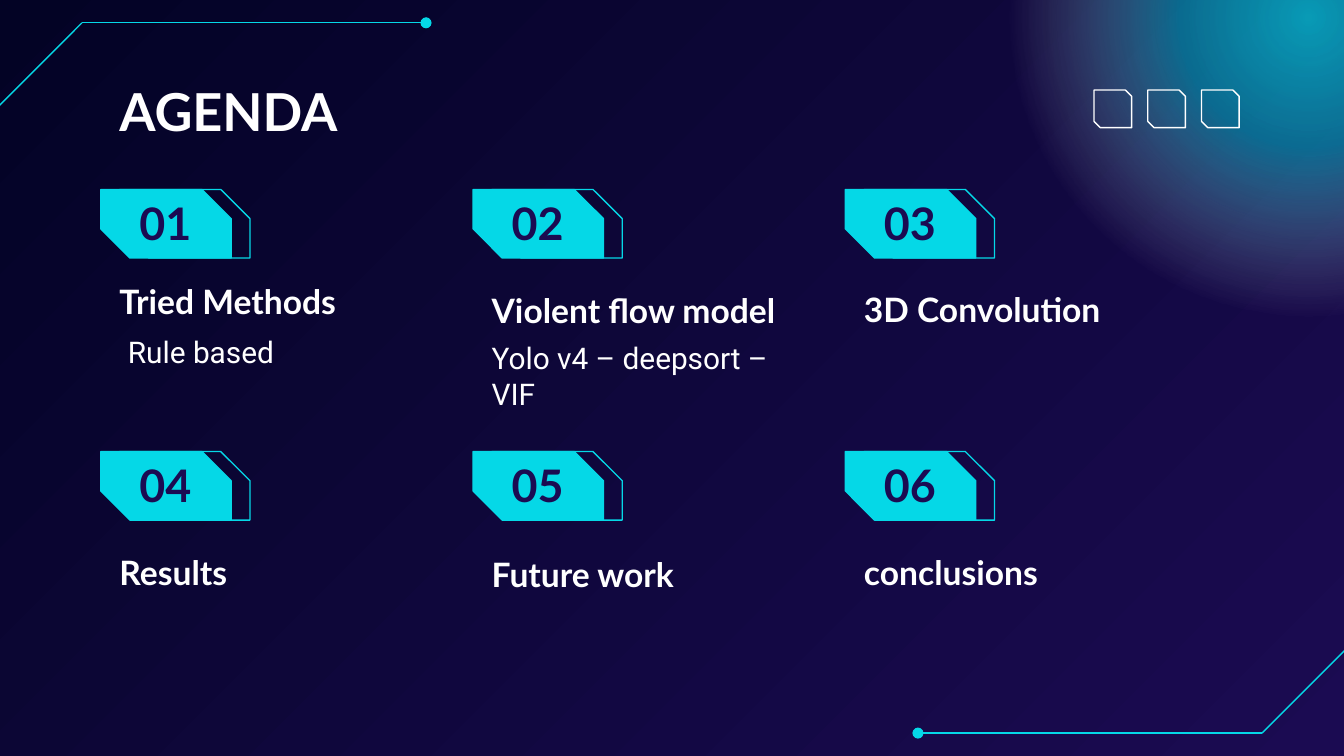
from lxml.etree import SubElement
from pptx import Presentation
from pptx.dml.color import RGBColor
from pptx.enum.shapes import MSO_CONNECTOR, MSO_SHAPE
from pptx.enum.text import MSO_ANCHOR, PP_ALIGN
from pptx.oxml import parse_xml
from pptx.oxml.ns import nsdecls, qn
from pptx.util import Inches, Pt

W = 10
H = W * 9 / 16
CYAN, WHITE, NAVY, INDIGO = "05D8E7", "FFFFFF", "030325", "1B0B52"

# Agenda grid: origin and pitch of its columns and rows
LEFT, TOP, COL, ROW = 0.75, 1.41, 2.77, 1.95
COLUMNS = 3

HEADING = {"name": "Lato", "size": Pt(18), "bold": True}
DETAIL = {"name": "Roboto", "size": Pt(16), "bold": False}
NUMBER = {"name": "Lato", "size": Pt(24), "bold": True}
TITLE = {"name": "Lato", "size": Pt(28), "bold": True}

# Heading and its drop below the top of the grid cell
ITEMS = [
    ("Tried Methods", 0.58), ("Violent flow model", 0.65), ("3D Convolution", 0.64),
    ("Results", 0.65), ("Future work", 0.66), ("conclusions", 0.65),
]


def rgb(color):
    return RGBColor.from_string(color)


def inches(*lengths):
    return [Inches(v) for v in lengths]


def add_text(s, box, text, font, color=WHITE, anchor=MSO_ANCHOR.TOP,
             align=PP_ALIGN.LEFT, after=0):
    tf = s.shapes.add_textbox(*inches(*box)).text_frame
    frame = {"word_wrap": True, "vertical_anchor": anchor}
    frame.update({f"margin_{side}": Inches(0.1)
                  for side in ("left", "right", "top", "bottom")})
    for name, value in frame.items():
        setattr(tf, name, value)
    p = tf.paragraphs[0]
    p.alignment, p.space_after = align, Pt(after)
    r = p.add_run()
    r.text = text
    for name, value in font.items():
        setattr(r.font, name, value)
    r.font.color.rgb = rgb(color)


def add_snip(s, box, snip, line, fill=None):
    sp = s.shapes.add_shape(MSO_SHAPE.SNIP_2_DIAG_RECTANGLE, *inches(*box))
    sp.shadow.inherit = False
    sp.adjustments[0], sp.adjustments[1] = 0, snip
    sp.line.color.rgb, sp.line.width = rgb(line), Pt(0.75)
    if fill:
        sp.fill.solid()
        sp.fill.fore_color.rgb = rgb(fill)
    else:
        sp.fill.background()


def add_line(s, start, end, dot=False):
    c = s.shapes.add_connector(MSO_CONNECTOR.STRAIGHT, *inches(*start, *end))
    c.line.color.rgb, c.line.width = rgb(CYAN), Pt(0.75)
    spPr = c._element.spPr
    if dot:
        SubElement(spPr.find(qn("a:ln")), qn("a:tailEnd"), type="oval")
    SubElement(spPr, qn("a:effectLst"))


def draw_background(s):
    fill = s.background.fill
    fill.gradient()
    fill.gradient_angle = 315
    for stop, color in zip(fill.gradient_stops, (NAVY, INDIGO)):
        stop.color.rgb = rgb(color)


def draw_glow(s, box):
    sp = s.shapes.add_shape(MSO_SHAPE.OVAL, *inches(*box))
    sp.shadow.inherit = False
    sp.line.fill.background()
    sp.fill.background()
    stops = "".join(
        f'<a:gs pos="{pos * 1000}"><a:srgbClr val="{color}">'
        f'<a:alpha val="{alpha * 1000}"/></a:srgbClr></a:gs>'
        for pos, color, alpha in ((0, CYAN, 70), (30, CYAN, 47),
                                  (69, WHITE, 0), (100, WHITE, 0)))
    spPr = sp._element.spPr
    spPr.replace(spPr.find(qn("a:noFill")), parse_xml(
        f'<a:gradFill {nsdecls("a")} rotWithShape="1"><a:gsLst>{stops}</a:gsLst>'
        '<a:path path="circle"><a:fillToRect l="50000" t="50000" r="50000" b="50000"/>'
        '</a:path></a:gradFill>'))


def draw_corner(s, x, y, side):
    """Trace from a slide edge at (x, y); side 1 runs right, -1 runs left."""
    bend = (x + side * 0.63, y - side * 0.63)
    add_line(s, (x, y), bend)
    add_line(s, bend, (bend[0] + side * 2.56, bend[1]), dot=True)


def draw_badge(s, x, y, number):
    w, h, shift = 0.97, 0.51, 0.14
    add_snip(s, (x + shift, y, w, h), 0.426, CYAN)
    add_snip(s, (x, y, w, h), 0.426, CYAN, CYAN)
    add_text(s, (x + shift, y - 0.06, 0.68, 0.61), f"{number:02}", NUMBER, INDIGO,
             MSO_ANCHOR.MIDDLE, PP_ALIGN.CENTER)


def draw_agenda(s, x, y):
    for i, (heading, drop) in enumerate(ITEMS):
        row, col = divmod(i, COLUMNS)
        left, top = x + col * COL, y + row * ROW
        draw_badge(s, left, top, i + 1)
        add_text(s, (left + 0.04, top + drop, 2.61, 0.5), heading, HEADING,
                 anchor=MSO_ANCHOR.BOTTOM, after=12)
    # Details under the first two headings
    add_text(s, (x - 0.56, y + 0.97, 2.61, 0.47), "Rule based", DETAIL,
             align=PP_ALIGN.CENTER, after=12)
    add_text(s, (x + COL + 0.04, y + 1.02, 2.61, 0.47), "Yolo v4 – deepsort – VIF",
             DETAIL, after=12)


def draw_header(s, x, y):
    add_text(s, (x, y, 7.85, 0.67), "AGENDA", TITLE)
    # Row of small outlined tiles
    for i in range(3):
        add_snip(s, (x + 7.35 + i * 0.4, y + 0.18, 0.28, 0.28), 0.167, WHITE)


def main():
    prs = Presentation()
    prs.slide_width, prs.slide_height = inches(W, H)
    s = prs.slides.add_slide(prs.slide_layouts[6])
    draw_background(s)
    draw_glow(s, (7.45, -2.15, 4.56, 4.56))
    draw_corner(s, -0.02, 0.8, 1)
    draw_corner(s, W + 0.02, H - 0.8, -1)
    draw_agenda(s, LEFT, TOP)
    draw_header(s, 0.79, 0.49)
    prs.save("out.pptx")


if __name__ == "__main__":
    main()
